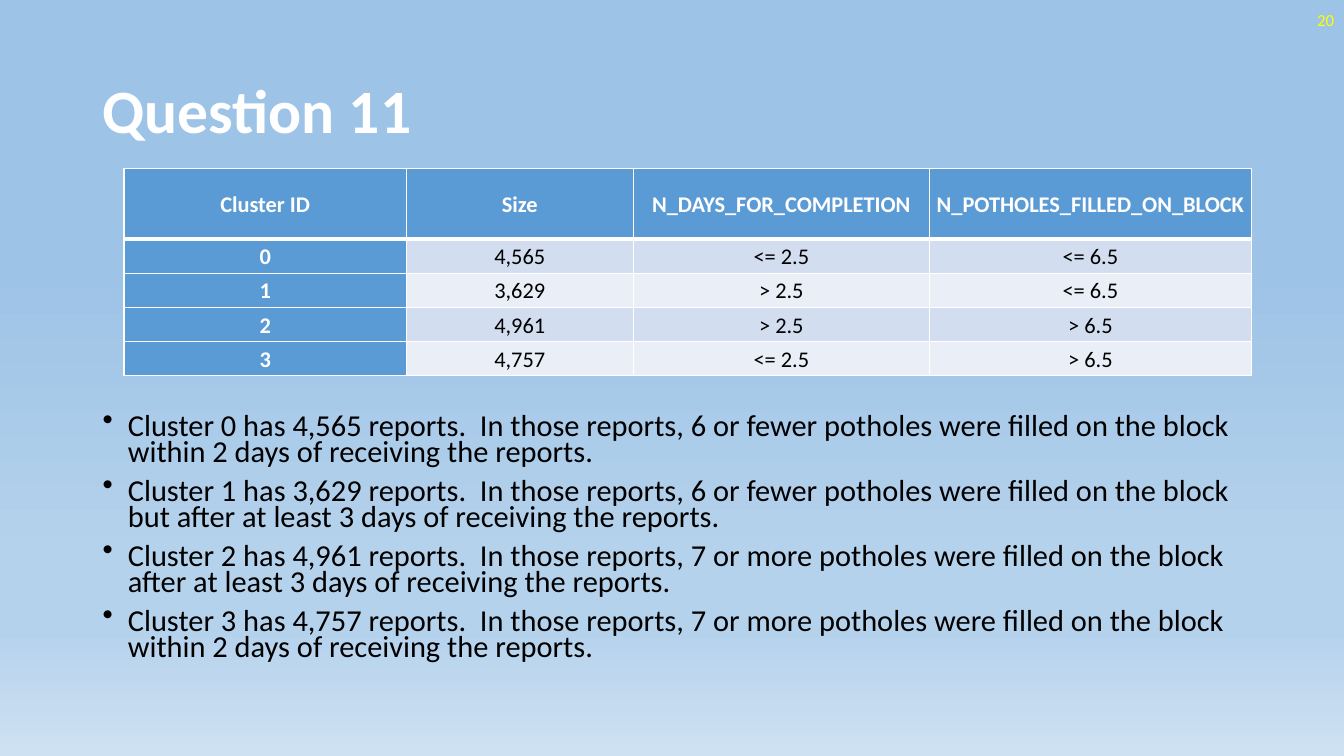
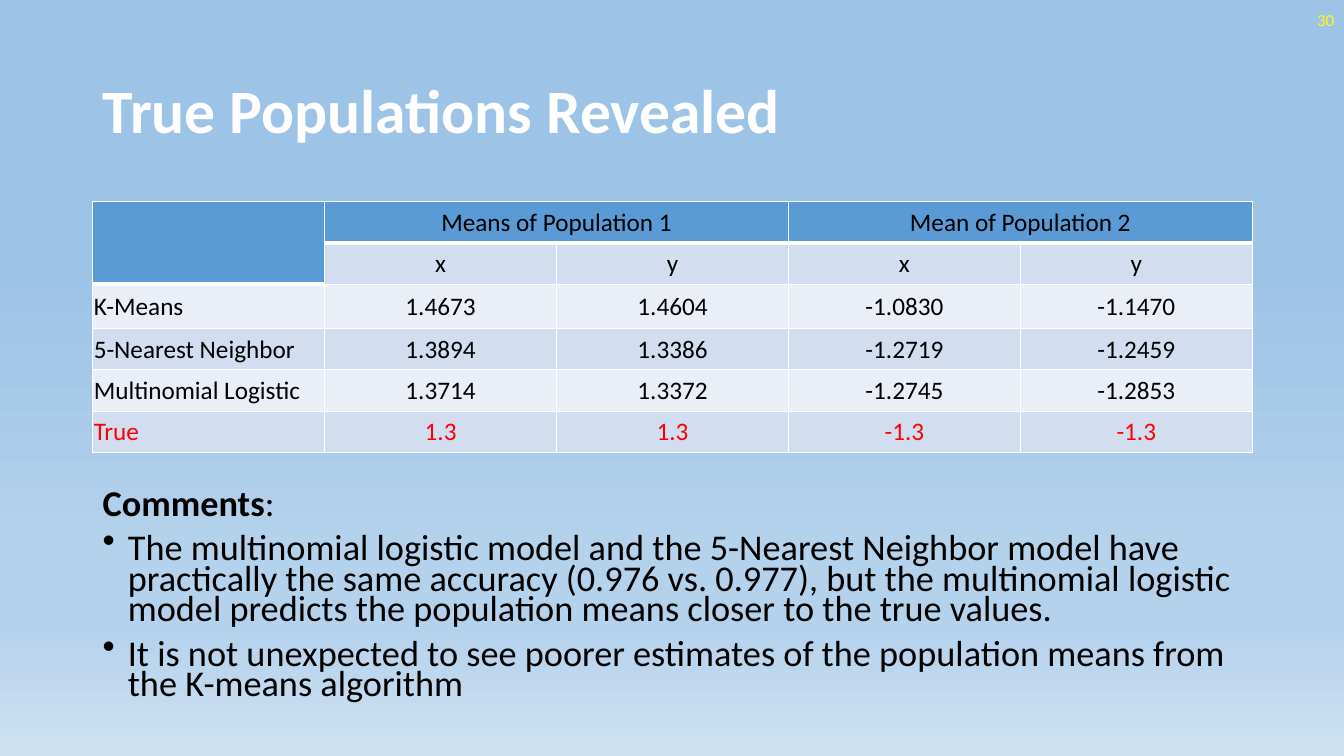
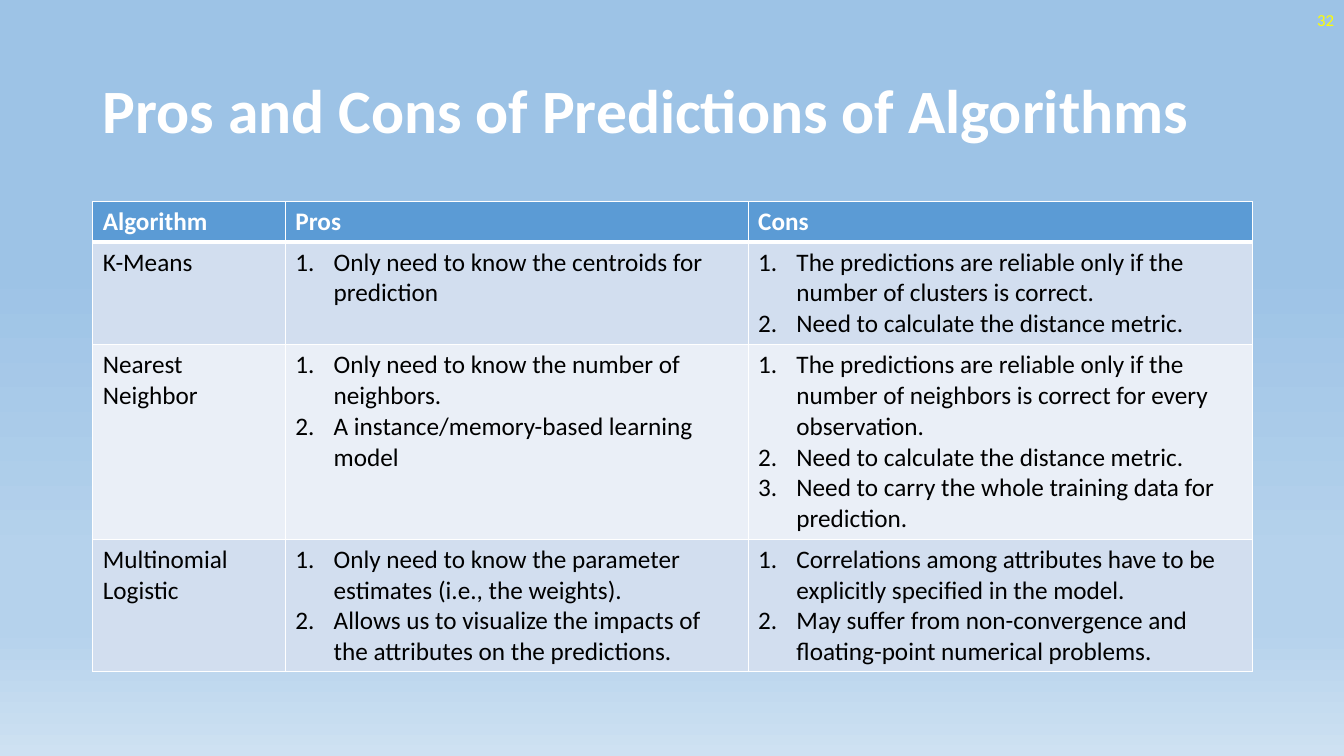
from dataclasses import dataclass

from lxml.etree import SubElement
from pptx import Presentation
from pptx.dml.color import RGBColor
from pptx.enum.text import MSO_ANCHOR as Anchor, PP_ALIGN as Align
from pptx.oxml import parse_xml
from pptx.oxml.ns import nsdecls, qn
from pptx.util import Inches, Pt

FONT = "Calibri"
WHITE, BLACK, YELLOW, RED = "FFFFFF", "000000", "FFFF00", "FF0000"
HEADING_BLUE = "5B9BD5"
BANDS = ["EAEFF7", "D2DEEF"]
BACKGROUND_STOPS = [(35, "9DC3E6"), (74, "B5D2EC"), (83, "B5D2EC"), (100, "CEE1F2")]
LEFT, WIDTH = 0.92, 11.5


@dataclass
class TableStyle:
    size: float = 18
    margins: tuple = (0.1, 0.05, 0.1, 0.05)
    anchor: Anchor = Anchor.TOP
    line_spacing: float = 1
    heading_color: str = WHITE
    heading_bold: bool = True
    heading_column: bool = False
    corner_rows: int = 1
    centered_from: int = 0
    last_row_color: str = BLACK


def color(value):
    return RGBColor.from_string(value)


def format_runs(para, size, value, bold=False):
    for span in para.runs:
        span.font.name = FONT
        span.font.size = Pt(size)
        span.font.bold = bold
        span.font.color.rgb = color(value)


def add_marker(para, indent, tag, **attributes):
    properties = para._p.get_or_add_pPr()
    properties.set("marL", str(Inches(indent)))
    properties.set("indent", str(-Inches(indent)))
    SubElement(properties, qn(tag), attributes)


def paint_background(deck):
    fill = deck.slide_master.background.fill
    fill.gradient()
    fill.gradient_angle = 270
    stops = deck.slide_master._element.find(".//" + qn("a:gsLst"))
    for stop in list(stops):
        stops.remove(stop)
    for position, value in BACKGROUND_STOPS:
        stop = SubElement(stops, qn("a:gs"), pos=str(position * 1000))
        SubElement(stop, qn("a:srgbClr"), val=value)


def add_box(page, left, top, width, height, anchor=Anchor.TOP):
    box = page.shapes.add_textbox(Inches(left), Inches(top), Inches(width), Inches(height))
    box.text_frame.word_wrap = True
    box.text_frame.vertical_anchor = anchor
    return box.text_frame


def add_page(deck, title, number):
    page = deck.slides.add_slide(deck.slide_layouts[6])
    para = add_box(page, LEFT, 0.4, WIDTH, 1.45, Anchor.MIDDLE).paragraphs[0]
    para.text = title
    para.line_spacing = 0.9
    format_runs(para, 44, WHITE, True)
    para = add_box(page, 10.33, 0, 3, 0.4, Anchor.MIDDLE).paragraphs[0]
    para.text = str(number)
    para.alignment = Align.RIGHT
    format_runs(para, 12, YELLOW)
    return page


def add_body(page, top, height, size, bullets, heading=None):
    frame = add_box(page, LEFT, top, WIDTH, height)
    lines = ([heading + ":"] if heading else []) + bullets
    frame.text = "\n".join(lines)
    for index, para in enumerate(frame.paragraphs):
        para.line_spacing = 0.7
        if index:
            para.space_before = Pt(10)
        if heading and index == 0:
            para.runs[0].text = heading
            para.add_run().text = ":"
        else:
            add_marker(para, 0.25, "a:buChar", char="•")
        format_runs(para, size, BLACK)
    if heading:
        frame.paragraphs[0].runs[0].font.bold = True


def draw_borders(cell, top, bottom):
    properties = cell._tc.get_or_add_tcPr()
    for index, (side, width) in enumerate([("L", 1), ("R", 1), ("T", top), ("B", bottom)]):
        line = parse_xml(
            f'<a:ln{side} {nsdecls("a")} w="{Pt(width)}"><a:solidFill>'
            f'<a:srgbClr val="{WHITE}"/></a:solidFill></a:ln{side}>')
        properties.insert(index, line)


def fill_cell(cell, content, style, value, bold, centered):
    cell.margin_left, cell.margin_top, cell.margin_right, cell.margin_bottom = map(
        Inches, style.margins)
    cell.vertical_anchor = style.anchor
    numbered = isinstance(content, list)
    cell.text_frame.text = "\n".join(content) if numbered else content
    for para in cell.text_frame.paragraphs:
        para.line_spacing = style.line_spacing
        para.alignment = Align.CENTER if centered else Align.LEFT
        if numbered:
            add_marker(para, 0.38, "a:buAutoNum", type="arabicPeriod")
        format_runs(para, style.size, value, bold)


def add_grid(page, left, top, widths, heights, rows, style, merges=()):
    frame = page.shapes.add_table(len(rows), len(widths), Inches(left), Inches(top),
                                  Inches(sum(widths)), Inches(sum(heights)))
    table = frame.table
    table.first_row = table.horz_banding = False
    for column, width in zip(table.columns, widths):
        column.width = Inches(width)
    for row, height in zip(table.rows, heights):
        row.height = Inches(height)
    for r, row in enumerate(rows):
        for c, content in enumerate(row):
            cell = table.cell(r, c)
            heading_rows = style.corner_rows if c == 0 else 1
            is_heading = r < heading_rows or (style.heading_column and c == 0)
            plain = style.last_row_color if r == len(rows) - 1 else BLACK
            fill_cell(cell, content, style, style.heading_color if is_heading else plain,
                      is_heading and style.heading_bold, c >= style.centered_from)
            cell.fill.solid()
            cell.fill.fore_color.rgb = color(HEADING_BLUE if is_heading else BANDS[r % 2])
            draw_borders(cell, 3 if r == heading_rows else 1, 3 if r < heading_rows else 1)
    for start, end in merges:
        table.cell(*start).merge(table.cell(*end))


def build_question(deck):
    page = add_page(deck, "Question 11", 20)
    few, many = "6 or fewer", "7 or more"
    early, late = "within 2 days", "after at least 3 days"
    clusters = [("4,565", few, early), ("3,629", few, "but " + late),
                ("4,961", many, late), ("4,757", many, early)]
    add_body(page, 4.08, 2.68, 21.7, [
        f"Cluster {index} has {size} reports.  In those reports, {count} potholes were "
        f"filled on the block {delay} of receiving the reports."
        for index, (size, count, delay) in enumerate(clusters)])
    rows = [["Cluster ID", "Size", "N_DAYS_FOR_COMPLETION", "N_POTHOLES_FILLED_ON_BLOCK"]]
    for index, (size, count, delay) in enumerate(clusters):
        rows.append([str(index), size, "<= 2.5" if delay == early else "> 2.5",
                     "<= 6.5" if count == few else "> 6.5"])
    style = TableStyle(size=16, margins=(0.07, 0, 0.07, 0), anchor=Anchor.MIDDLE,
                       line_spacing=1.07, heading_column=True)
    add_grid(page, 1.23, 1.67, [2.8, 2.25, 2.94, 3.19], [0.7] + [0.34] * 4, rows, style)


def build_populations(deck):
    page = add_page(deck, "True Populations Revealed", 30)
    add_body(page, 4.83, 2.4, 25.9, [
        "The multinomial logistic model and the 5-Nearest Neighbor model have practically "
        "the same accuracy (0.976 vs. 0.977), but the multinomial logistic model predicts "
        "the population means closer to the true values.",
        "It is not unexpected to see poorer estimates of the population means from the "
        "K-means algorithm"], heading="Comments")
    rows = [
        ["", "Means of Population 1", "", "Mean of Population 2", ""],
        ["", "x", "y", "x", "y"],
        ["K-Means", "1.4673", "1.4604", "-1.0830", "-1.1470"],
        ["5-Nearest Neighbor", "1.3894", "1.3386", "-1.2719", "-1.2459"],
        ["Multinomial Logistic", "1.3714", "1.3372", "-1.2745", "-1.2853"],
        ["True", "1.3", "1.3", "-1.3", "-1.3"]]
    style = TableStyle(margins=(0.01, 0.01, 0.01, 0), anchor=Anchor.MIDDLE,
                       heading_color=BLACK, heading_bold=False, corner_rows=2,
                       centered_from=1, last_row_color=RED)
    merges = [((0, 0), (1, 0)), ((0, 1), (0, 2)), ((0, 3), (0, 4))]
    add_grid(page, LEFT, 2, [2.3] * 5, [0.41, 0.41, 0.44, 0.41, 0.41, 0.41],
             rows, style, merges)


def build_pros_and_cons(deck):
    page = add_page(deck, "Pros and Cons of Predictions of Algorithms", 32)
    distance = "Need to calculate the distance metric."
    rows = [
        ["Algorithm", "Pros", "Cons"],
        ["K-Means",
         ["Only need to know the centroids for prediction"],
         ["The predictions are reliable only if the number of clusters is correct.",
          distance]],
        ["Nearest Neighbor",
         ["Only need to know the number of neighbors.",
          "A instance/memory-based learning model"],
         ["The predictions are reliable only if the number of neighbors is correct for "
          "every observation.",
          distance,
          "Need to carry the whole training data for prediction."]],
        ["Multinomial Logistic",
         ["Only need to know the parameter estimates (i.e., the weights).",
          "Allows us to visualize the impacts of the attributes on the predictions."],
         ["Correlations among attributes have to be explicitly specified in the model.",
          "May suffer from non-convergence and floating-point numerical problems."]]]
    add_grid(page, LEFT, 2, [1.91, 4.59, 5], [0.4, 1.02, 1.93, 1.31], rows,
             TableStyle(centered_from=3))


def main():
    deck = Presentation()
    deck.slide_width, deck.slide_height = Inches(13.33), Inches(7.5)
    paint_background(deck)
    build_question(deck)
    build_populations(deck)
    build_pros_and_cons(deck)
    deck.save("out.pptx")


if __name__ == "__main__":
    main()
